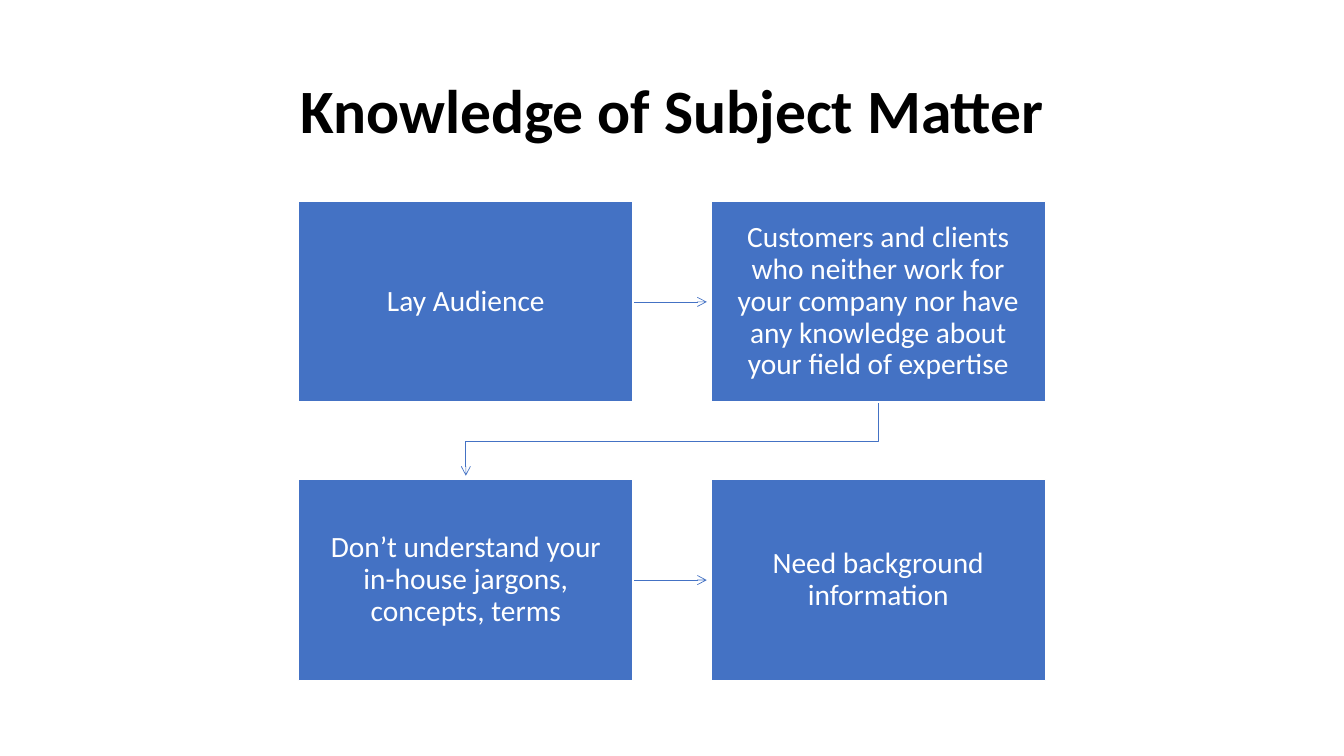
"""Build a four-step flow slide about how much a lay audience knows."""
from dataclasses import dataclass

from lxml import etree
from pptx import Presentation
from pptx import util as u
from pptx.dml.color import RGBColor
from pptx.enum import shapes, text
from pptx.oxml import ns
from pptx.shapes.base import BaseShape
from pptx.slide import Slide
from pptx.text.text import TextFrame

BLUE = RGBColor(0x44, 0x72, 0xC4)
WHITE = RGBColor(0xFF, 0xFF, 0xFF)
BLACK = RGBColor(0x00, 0x00, 0x00)

FONT = "Calibri"
GRID_LEFT, GRID_TOP = 2.96, 2.0
STEP_WIDTH, STEP_HEIGHT = 3.32, 1.99
GAP = 0.77
ARROW_CLEARANCE = 0.04


@dataclass(frozen=True)
class Step:
    wording: str
    column: int
    row: int

    @property
    def left(self) -> float:
        return GRID_LEFT + self.column * (STEP_WIDTH + GAP)

    @property
    def top(self) -> float:
        return GRID_TOP + self.row * (STEP_HEIGHT + GAP)

    @property
    def right(self) -> float:
        return self.left + STEP_WIDTH

    @property
    def bottom(self) -> float:
        return self.top + STEP_HEIGHT

    @property
    def center(self) -> float:
        return self.left + STEP_WIDTH / 2

    @property
    def middle(self) -> float:
        return self.top + STEP_HEIGHT / 2


STEPS = (
    Step("Lay Audience", 0, 0),
    Step("Customers and clients who neither work for your company nor have "
         "any knowledge about your field of expertise", 1, 0),
    Step("Don’t understand your in-house jargons, concepts, terms", 0, 1),
    Step("Need background information", 1, 1),
)


def write(frame: TextFrame, wording: str, size: int, color: RGBColor, bold: bool) -> None:
    """Fill a frame with one centred paragraph."""
    frame.word_wrap = True
    frame.vertical_anchor = text.MSO_ANCHOR.MIDDLE
    frame.text = wording
    paragraph = frame.paragraphs[0]
    paragraph.alignment = text.PP_ALIGN.CENTER
    paragraph.line_spacing = 0.9
    paragraph.font.name = FONT
    paragraph.font.size = u.Pt(size)
    paragraph.font.bold = bold
    paragraph.font.color.rgb = color


def add_title(slide: Slide, wording: str) -> None:
    """Place and format the title placeholder."""
    title = slide.shapes.title
    title.left, title.top = u.Inches(0.92), u.Inches(0.4)
    title.width, title.height = u.Inches(11.5), u.Inches(1.45)
    write(title.text_frame, wording, 44, BLACK, True)


def add_step(slide: Slide, step: Step) -> None:
    """Draw one box of the flow."""
    box = slide.shapes.add_shape(
        shapes.MSO_SHAPE.RECTANGLE, u.Inches(step.left), u.Inches(step.top),
        u.Inches(STEP_WIDTH), u.Inches(STEP_HEIGHT))
    box.shadow.inherit = False
    box.fill.solid()
    box.fill.fore_color.rgb = BLUE
    box.line.color.rgb = WHITE
    box.line.width = u.Pt(1)
    frame = box.text_frame
    frame.margin_left = frame.margin_right = u.Inches(0.16)
    frame.margin_top = frame.margin_bottom = u.Inches(0.16)
    write(frame, step.wording, 21, WHITE, False)


def style_arrow(arrow: BaseShape) -> None:
    """Give a path its thin blue line, open arrowhead and no shadow."""
    arrow.line.color.rgb = BLUE
    arrow.line.width = u.Pt(0.5)
    properties = arrow.element.spPr
    outline = properties.find(ns.qn("a:ln"))
    etree.SubElement(outline, ns.qn("a:tailEnd"), type="arrow")
    if properties.find(ns.qn("a:effectLst")) is None:
        etree.SubElement(properties, ns.qn("a:effectLst"))


def add_arrow_across(slide: Slide, start: Step, end: Step) -> None:
    """Join two neighbours in a row."""
    arrow = slide.shapes.add_connector(
        shapes.MSO_CONNECTOR.STRAIGHT, u.Inches(start.right), u.Inches(start.middle),
        u.Inches(end.left - ARROW_CLEARANCE), u.Inches(end.middle))
    style_arrow(arrow)


def add_arrow_down(slide: Slide, start: Step, end: Step) -> None:
    """Lead from the end of one row to the start of the next."""
    turn = start.bottom + GAP / 2
    route = ((start.center, start.bottom), (start.center, turn),
             (end.center, turn), (end.center, end.top - ARROW_CLEARANCE))
    first, *others = [(u.Inches(x), u.Inches(y)) for x, y in route]
    builder = slide.shapes.build_freeform(*first)
    builder.add_line_segments(others, close=False)
    arrow = builder.convert_to_shape()
    arrow.fill.background()
    style_arrow(arrow)


def main() -> None:
    """Assemble and save the slide."""
    deck = Presentation()
    deck.slide_width, deck.slide_height = u.Inches(13.33), u.Inches(7.5)
    slide = deck.slides.add_slide(deck.slide_layouts.get_by_name("Title Only"))
    add_title(slide, "Knowledge of Subject Matter")
    for start, end in zip(STEPS, STEPS[1:]):
        connect = add_arrow_across if start.row == end.row else add_arrow_down
        connect(slide, start, end)
    for step in STEPS:
        add_step(slide, step)
    deck.save("out.pptx")


if __name__ == "__main__":
    main()
